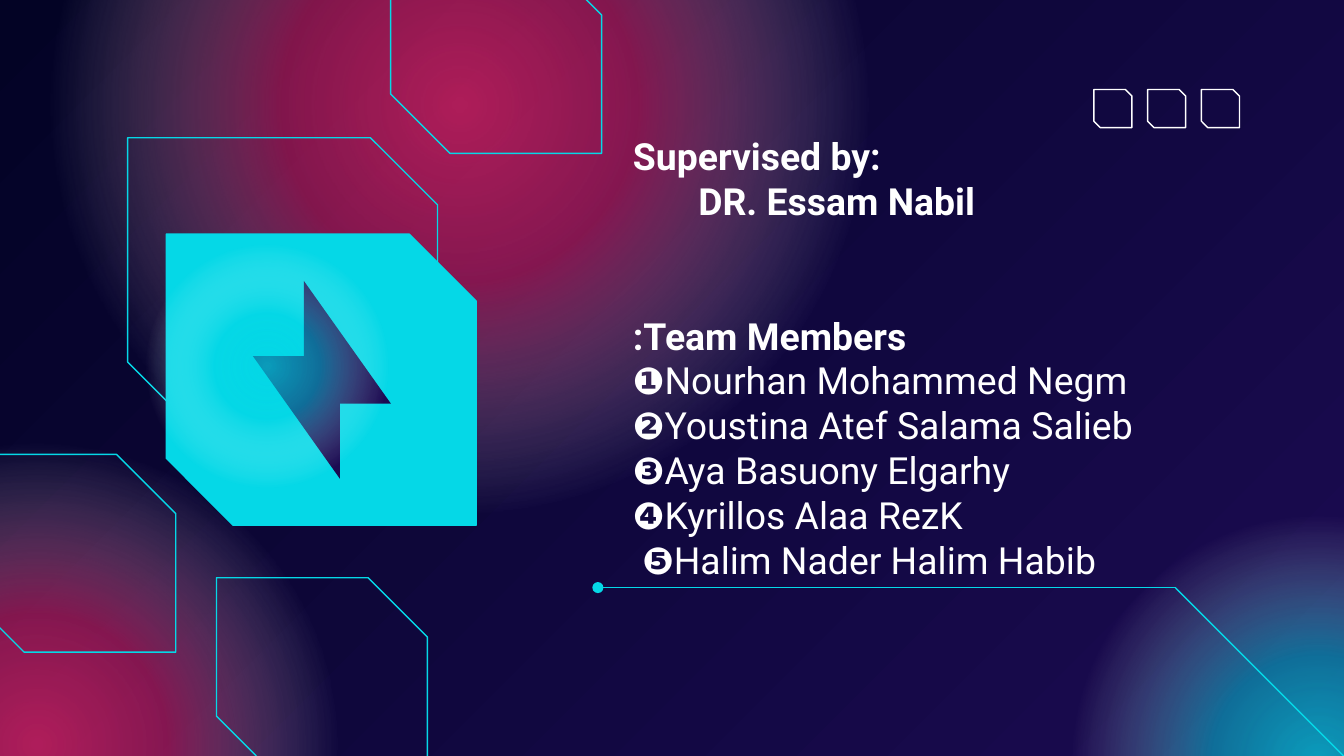
from lxml.etree import SubElement as Sub
from pptx import Presentation
from pptx.dml.color import RGBColor
from pptx.enum.shapes import MSO_CONNECTOR as Conn, MSO_SHAPE as Kind
from pptx.enum.text import MSO_ANCHOR as Anchor, PP_ALIGN as Align
from pptx.oxml.ns import qn
from pptx.util import Pt

CYAN = RGBColor(0x05, 0xD8, 0xE7)
PINK = RGBColor(0xFF, 0x29, 0x6D)
WHITE = RGBColor(0xFF, 0xFF, 0xFF)
NIGHT = RGBColor(0x03, 0x03, 0x25)
INDIGO = RGBColor(0x1B, 0x0B, 0x52)


class Deck:
    font = "Roboto"
    size = 20
    pitch = 24
    weight = 0.75

    def __init__(self, wide, high):
        self.file = Presentation()
        self.file.slide_width = Pt(wide)
        self.file.slide_height = Pt(high)
        self.slide = self.file.slides.add_slide(self.file.slide_layouts[6])
        self.shapes = self.slide.shapes

    def back(self, first, last):
        fill = self.slide.background.fill
        fill.gradient()
        fill.gradient_angle = 315
        for stop, color, place in zip(fill.gradient_stops, (first, last), (0, 1)):
            stop.color.rgb = color
            stop.position = place

    def shape(self, kind, box, fill=None, line=None, group=None):
        home = group.shapes if group else self.shapes
        item = home.add_shape(kind, *map(Pt, box))
        item.shadow.inherit = False
        if fill is None:
            item.fill.background()
        else:
            item.fill.solid()
            item.fill.fore_color.rgb = fill
        if line is None:
            item.line.fill.background()
        else:
            item.line.color.rgb = line
            item.line.width = Pt(self.weight)
        return item

    def snip(self, box, cut, line=CYAN, fill=None, group=None):
        item = self.shape(Kind.SNIP_2_DIAG_RECTANGLE, box, fill, line, group)
        item.adjustments[0] = 0
        item.adjustments[1] = cut

    def glow(self, left, top, side, color, core, mid):
        item = self.shape(Kind.OVAL, (left, top, side, side))
        item.fill.gradient()
        grad = item._element.spPr.find(qn("a:gradFill"))
        for child in list(grad):
            grad.remove(child)
        stops = Sub(grad, qn("a:gsLst"))
        for place, tint, alpha in (
            (0, color, core), (30, color, mid), (69, WHITE, 0), (100, WHITE, 0)
        ):
            stop = Sub(stops, qn("a:gs"), pos=str(place * 1000))
            shade = Sub(stop, qn("a:srgbClr"), val=str(tint))
            Sub(shade, qn("a:alpha"), val=str(alpha * 1000))
        round_ = Sub(grad, qn("a:path"), path="circle")
        Sub(round_, qn("a:fillToRect"), l="50000", t="50000", r="50000", b="50000")

    def line(self, start, end, group, dot=False):
        item = group.shapes.add_connector(Conn.STRAIGHT, *map(Pt, start + end))
        item.line.color.rgb = CYAN
        item.line.width = Pt(self.weight)
        props = item._element.spPr
        if dot:
            Sub(props.find(qn("a:ln")), qn("a:tailEnd"), type="oval")
        Sub(props, qn("a:effectLst"))

    def text(self, box, rows):
        frame = self.shapes.add_textbox(*map(Pt, box)).text_frame
        frame.word_wrap = True
        frame.vertical_anchor = Anchor.BOTTOM
        frame.margin_left = frame.margin_right = frame.margin_top = Pt(7.2)
        frame.margin_bottom = Pt(31)
        for i, (bold, plain, indent, gap) in enumerate(rows):
            para = frame.paragraphs[0] if i == 0 else frame.add_paragraph()
            para.text = bold
            if plain:
                para.add_run().text = plain
            para.alignment = Align.LEFT
            para.line_spacing = Pt(self.pitch)
            para.space_before = Pt(gap)
            para._p.get_or_add_pPr().set("marL", str(Pt(indent)))
            for run in para.runs:
                run.font.name = self.font
                run.font.size = Pt(self.size)
                run.font.color.rgb = WHITE
                run.font.bold = run.text == bold


def main():
    deck = Deck(720, 405)
    deck.back(NIGHT, INDIGO)
    deck.glow(-145.5, 233.3, 330, PINK, 67, 49)
    deck.glow(21, -169, 450, PINK, 67, 49)
    deck.glow(571, 273, 270.5, CYAN, 71, 48)
    deck.snip((68.4, 73.8, 166, 156), 0.23)

    names = (
        ("❶", "Nourhan Mohammed Negm"),
        ("❷", "Youstina Atef Salama Salieb"),
        ("❸", "Aya Basuony Elgarhy"),
        ("❹", "Kyrillos Alaa RezK"),
        ("❺", "Halim Nader Halim Habib"),
    )
    rows = [
        ("Supervised by:", "", 0, 0),
        ("DR. Essam Nabil", "", 35, 0),
        (":Team Members", "", 0, 2 * deck.pitch),
    ]
    rows += [(mark, name, 5 if mark == "❺" else 0, 0) for mark, name in names]
    deck.text((332, -9.4, 322, 352), rows)

    deck.snip((89.1, 125.4, 166, 156), 0.23, fill=CYAN)
    bolt = deck.shapes.add_group_shape()
    for left, top, turn in ((162.8, 150.5, 0), (135.5, 190.8, 180)):
        half = deck.shape(Kind.RIGHT_TRIANGLE, (left, top, 46.6, 65.7), INDIGO, group=bolt)
        half.rotation = turn

    for left, top in ((209.3, -23.8), (-18.8, 243.4), (116, 309.5)):
        deck.snip((left, top, 113, 106), 0.3)
    deck.glow(76.3, 129.6, 133.2, CYAN, 71, 48)

    trail = deck.shapes.add_group_shape()
    deck.line((725, 410.2), (629.8, 315), trail)
    deck.line((629.8, 314.8), (320.3, 314.8), trail, dot=True)

    tiles = deck.shapes.add_group_shape()
    for i in range(3):
        deck.snip((586 + 28.8 * i, 48, 20.4, 20.4), 0.17, WHITE, group=tiles)

    deck.file.save("out.pptx")


if __name__ == "__main__":
    main()
